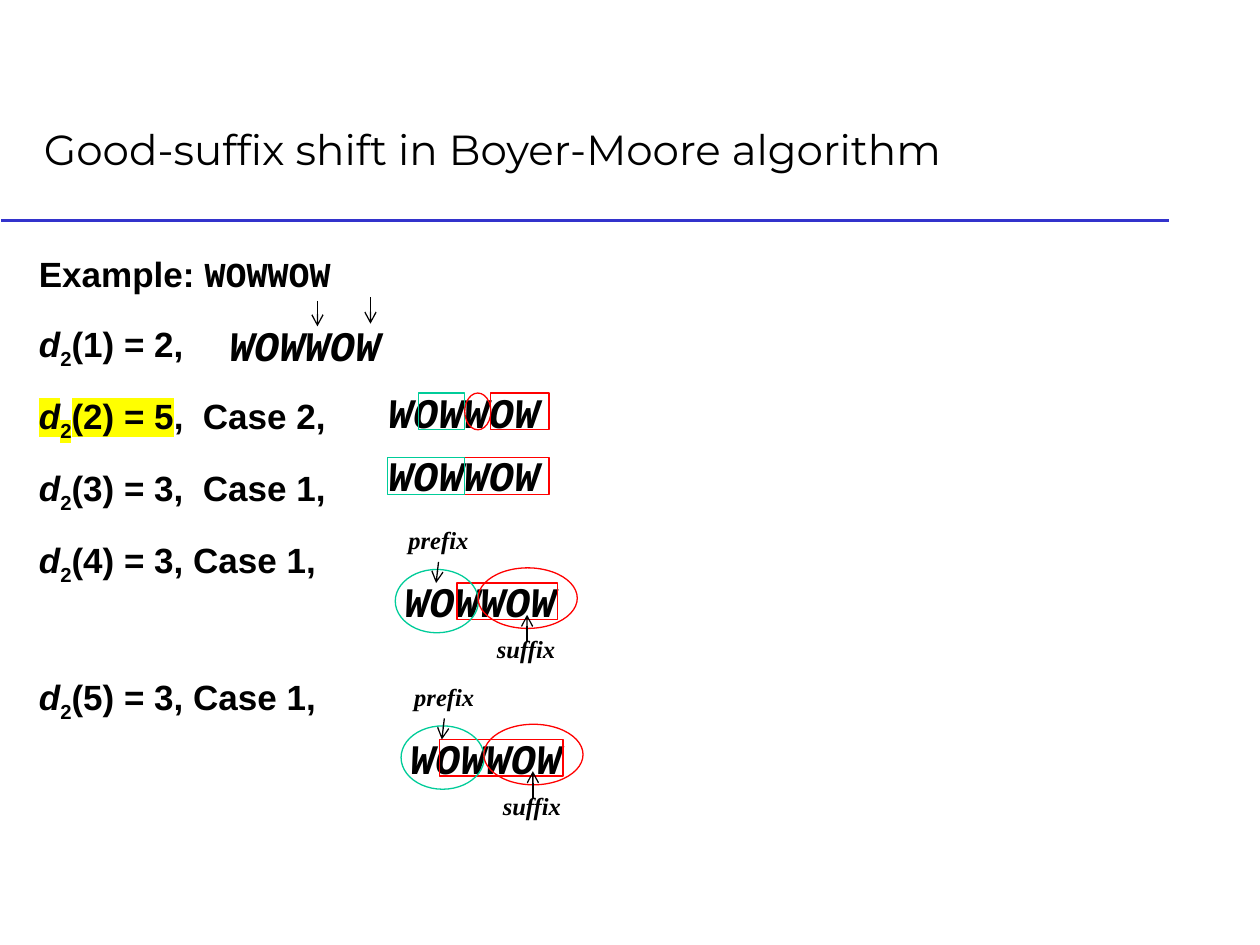
from dataclasses import dataclass

from lxml.etree import SubElement
from pptx import Presentation
from pptx.dml.color import RGBColor as RGB
from pptx.enum.shapes import MSO_CONNECTOR as CONN, MSO_SHAPE as SHAPE
from pptx.enum.text import MSO_ANCHOR as ANCHOR
from pptx.oxml import parse_xml
from pptx.oxml.ns import nsdecls, qn
from pptx.util import Pt


@dataclass(frozen=True)
class Theme:
    black: RGB = RGB(0x00, 0x00, 0x00)
    rule: RGB = RGB(0x33, 0x33, 0xCC)
    red: RGB = RGB(0xFF, 0x00, 0x00)
    green: RGB = RGB(0x00, 0xCC, 0x99)
    highlight: str = "FFFF00"
    title_font: str = "Montserrat"
    body_font: str = "Arial"
    code_font: str = "Courier New"
    label_font: str = "Times New Roman"
    title_size: int = 24
    body_size: int = 20
    word_size: int = 24
    label_size: int = 14
    hairline: float = 0.75


class Deck:
    def __init__(self, theme):
        self.theme = theme
        self.prs = Presentation()
        self.prs.slide_width, self.prs.slide_height = Pt(720), Pt(540)
        self.s = self.prs.slides.add_slide(self.prs.slide_layouts[6])

    def style(self, r, font, size, bold=False, italic=False):
        r.font.name, r.font.size = font, Pt(size)
        r.font.bold, r.font.italic = bold, italic
        r.font.color.rgb = self.theme.black

    def frame(self, x, y, w, h, wrap=True):
        sp = self.s.shapes.add_textbox(Pt(x), Pt(y), Pt(w), Pt(h))
        sp.text_frame.word_wrap = wrap
        return sp

    def text(self, text, x, y, w, h, font, size, bold=True, italic=True):
        sp = self.frame(x, y, w, h, wrap=False)
        sp.text_frame.text = text
        self.style(sp.text_frame.paragraphs[0].runs[0], font, size, bold, italic)
        return sp

    def title(self, text, x, y, w, h):
        t = self.theme
        sp = self.text(text, x, y, w, h, t.title_font, t.title_size, False, False)
        sp.text_frame.word_wrap = True
        sp.text_frame.vertical_anchor = ANCHOR.BOTTOM

    def word(self, x, y):
        t = self.theme
        self.text("WOWWOW", x, y, 101.5, 36, t.code_font, t.word_size)

    def label(self, text, x, y):
        t = self.theme
        return self.text(text, x, y, 48.6, 24.4, t.label_font, t.label_size)

    def run(self, p, text, font=None, italic=False, sub=False, marked=False):
        t = self.theme
        r = p.add_run()
        r.text = text
        self.style(r, font or t.body_font, t.body_size, True, italic)
        rPr = r.font._element
        if sub:
            rPr.set("baseline", "-25000")
        if marked:
            rPr.find(qn("a:solidFill")).addnext(parse_xml(
                f'<a:highlight {nsdecls("a")}><a:srgbClr val="{t.highlight}"/></a:highlight>'))

    def body(self, rows, x, y, w, h, tab):
        tf = self.frame(x, y, w, h).text_frame
        p = tf.paragraphs[0]
        p.line_spacing = 0.9
        self.run(p, "Example: ")
        self.run(p, "WOWWOW", font=self.theme.code_font)
        for value, case, before, marked in rows:
            p = tf.add_paragraph()
            if case.startswith(",\t"):
                tabs = SubElement(p._p.get_or_add_pPr(), qn("a:tabLst"))
                SubElement(tabs, qn("a:tab"), pos=str(Pt(tab)), algn="l")
            p.line_spacing, p.space_before = 0.9, Pt(before)
            self.run(p, "d", italic=True, marked=marked)
            self.run(p, "2", sub=True, marked=marked)
            self.run(p, value, marked=marked)
            self.run(p, case)

    def outline(self, kind, color, x, y, w, h):
        sp = self.s.shapes.add_shape(kind, Pt(x), Pt(y), Pt(w), Pt(h))
        sp.shadow.inherit = False
        sp.fill.background()
        sp.line.color.rgb, sp.line.width = color, Pt(self.theme.hairline)

    def line(self, x1, y1, x2, y2, color, width):
        c = self.s.shapes.add_connector(CONN.STRAIGHT, Pt(x1), Pt(y1), Pt(x2), Pt(y2))
        c.line.color.rgb, c.line.width = color, Pt(width)
        SubElement(c._element.spPr, qn("a:effectLst"))
        return c

    def arrow(self, x1, y1, x2, y2):
        c = self.line(x1, y1, x2, y2, self.theme.black, self.theme.hairline)
        SubElement(c.line._get_or_add_ln(), qn("a:tailEnd"), type="arrow")
        return c

    def prefix_suffix(self, x, y, box_x, box_w):
        t = self.theme
        self.word(x, y)
        self.outline(SHAPE.RECTANGLE, t.red, box_x, y + 7.7, box_w, 21)
        self.outline(SHAPE.OVAL, t.green, x + 2, y, 47.5, 36.2)
        self.outline(SHAPE.OVAL, t.red, x + 49.3, y - 0.9, 56.7, 34.6)
        prefix = self.label("prefix", x + 2.4, y - 28.7)
        self.arrow(x + 26.7, y - 4.3, x + 25.3, y + 7.8).begin_connect(prefix, 2)
        self.label("suffix", x + 53, y + 33.6)
        self.arrow(x + 77.3, y + 41.3, x + 77.3, y + 25.9)


def main():
    t = Theme()
    d = Deck(t)
    d.line(0.7, 126, 668.2, 126, t.rule, 1.5)
    d.title("Good-suffix shift in Boyer-Moore algorithm", 18, 49, 660, 54)

    gap, wide_gap = 16.5, 53.7
    d.body([
        ("(1) = 2", ",", gap, False),
        ("(2) = 5", ",\tCase 2,", gap, True),
        ("(3) = 3", ",\tCase 1,", gap, False),
        ("(4) = 3", ", Case 1,", gap, False),
        ("(5) = 3", ", Case 1,", wide_gap, False),
    ], 15.1, 143.3, 683, 340.6, tab=93.7)

    d.word(123.8, 179.3)
    d.arrow(181.4, 172, 181.4, 186.5)
    d.arrow(211.7, 170, 211.7, 185)

    d.word(214.6, 217.4)
    d.outline(SHAPE.RECTANGLE, t.red, 280.5, 224.6, 33.3, 21)
    d.outline(SHAPE.RECTANGLE, t.green, 239, 224.6, 26.6, 21)
    d.outline(SHAPE.OVAL, t.red, 265.6, 224.6, 14.9, 21)

    d.word(214.6, 253.4)
    d.outline(SHAPE.RECTANGLE, t.red, 265.6, 261.4, 48.2, 21)
    d.outline(SHAPE.RECTANGLE, t.green, 221.4, 261.4, 44.2, 21)

    d.prefix_suffix(223.9, 325.4, 261.2, 57.5)
    d.prefix_suffix(227.2, 414.8, 251.2, 70.6)

    d.prs.save("out.pptx")


if __name__ == "__main__":
    main()
